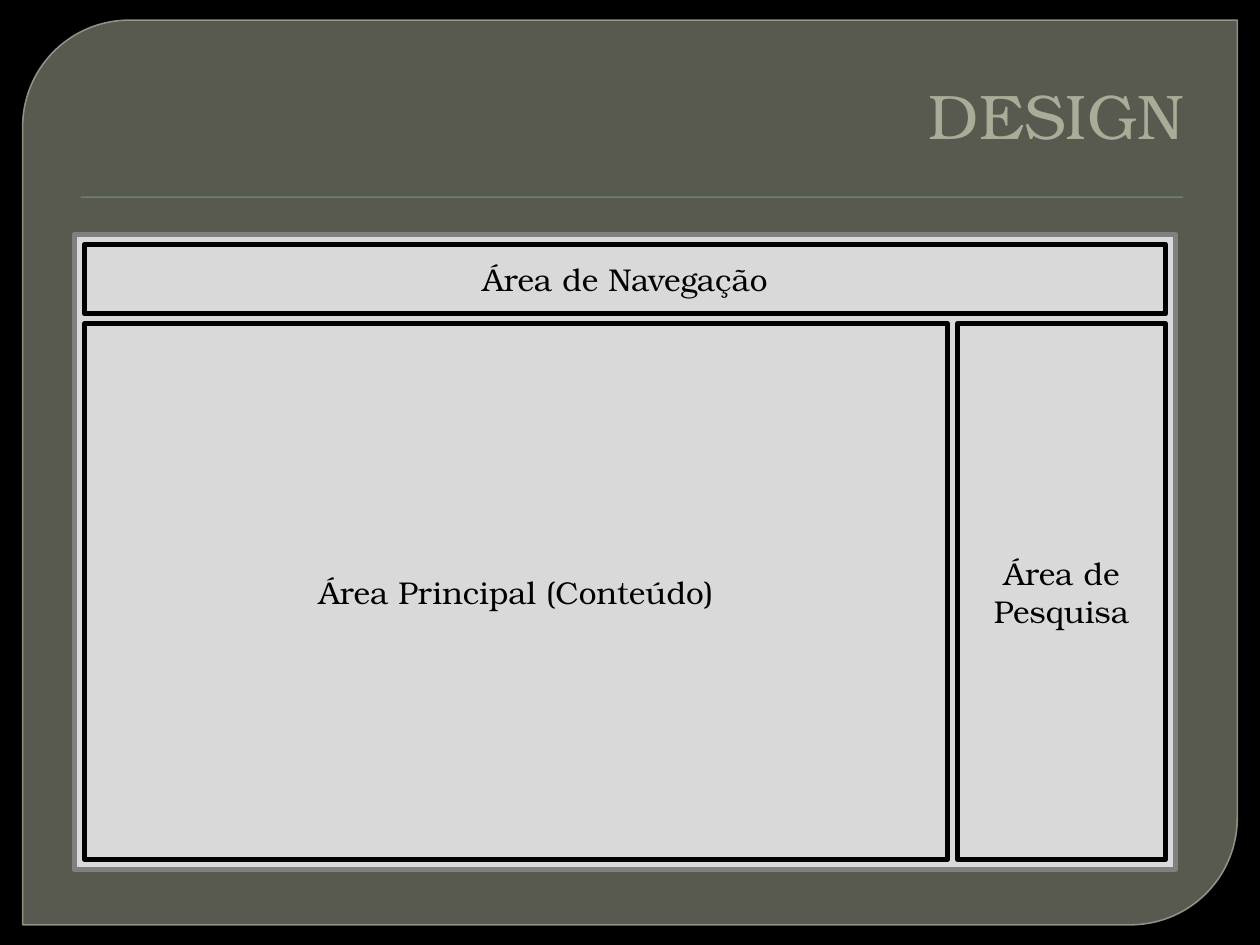
from pptx import Presentation
from pptx import util as u
from pptx.dml.color import RGBColor
from pptx.enum import shapes, text
from pptx.oxml import parse_xml
from pptx.oxml.ns import nsdecls, qn

HUES = {"back": "000000", "card": "888B7B", "edge": "9DA090", "rule": "72A376",
        "title": "E7EACB", "pane": "D9D9D9", "rim": "808080", "ink": "000000"}
FONT = "TeX Gyre Bonum"
COLS, ROWS = 100, 75
KIND = shapes.MSO_SHAPE
SIDE = text.PP_ALIGN
MID = text.MSO_ANCHOR.MIDDLE


class Board:
    def __init__(self, deck):
        self.deck = deck
        self.slide = deck.slides.add_slide(deck.slide_layouts[5])
        fill = self.slide.background.fill
        fill.solid()
        fill.fore_color.rgb = self.hue("back")

    def hue(self, name):
        return RGBColor.from_string(HUES[name])

    def span(self, col, row, wide, high):
        x, y = self.deck.slide_width / COLS, self.deck.slide_height / ROWS
        return [u.Emu(round(n)) for n in (col * x, row * y, wide * x, high * y)]

    def fade(self, solid, share):
        solid[0].append(parse_xml(f'<a:alpha {nsdecls("a")} val="{share * 1000}"/>'))

    def shape(self, area, fill, line=None, width=3, kind=KIND.RECTANGLE):
        item = self.slide.shapes.add_shape(kind, *self.span(*area))
        item.shadow.inherit = False
        item.fill.solid()
        item.fill.fore_color.rgb = self.hue(fill)
        if line:
            item.line.color.rgb = self.hue(line)
            item.line.width = u.Pt(width)
        else:
            item.line.fill.background()
        return item

    def card(self, area):
        item = self.shape(area, "card", "edge", 0.87, KIND.ROUND_2_DIAG_RECTANGLE)
        item.adjustments[0], item.adjustments[1] = 0.118, 0
        props = item.element.spPr
        self.fade(props.find(qn("a:solidFill")), 65)
        self.fade(props.find(qn("a:ln")).find(qn("a:solidFill")), 88)

    def rule(self, area):
        item = self.shape(area, "rule")
        glow = item.element.spPr.find(qn("a:effectLst"))
        glow.append(parse_xml(
            f'<a:outerShdw {nsdecls("a")} blurRad="12700" dist="12700" dir="5400000">'
            '<a:srgbClr val="000000"><a:alpha val="75000"/></a:srgbClr></a:outerShdw>'))

    def style(self, item, words, size, hue, side):
        frame = item.text_frame
        frame.text = words
        for key, val in {"word_wrap": True, "vertical_anchor": MID,
                         "auto_size": text.MSO_AUTO_SIZE.NONE}.items():
            setattr(frame, key, val)
        para = frame.paragraphs[0]
        para.alignment = side
        font = para.runs[0].font
        for key, val in {"name": FONT, "size": u.Pt(size), "bold": False}.items():
            setattr(font, key, val)
        font.color.rgb = self.hue(hue)

    def title(self, area, words):
        item = self.slide.shapes.title
        for key, val in zip(("left", "top", "width", "height"), self.span(*area)):
            setattr(item, key, val)
        self.style(item, words, 36, "title", SIDE.RIGHT)

    def label(self, area, words, lines=1):
        col, row, wide, high = area
        tall = 4 if lines == 1 else 7.1
        place = self.span(col, row + (high - tall) / 2, wide, tall)
        item = self.slide.shapes.add_textbox(*place)
        self.style(item, words, 18, "ink", SIDE.CENTER)


def main():
    deck = Presentation()
    deck.slide_width, deck.slide_height = u.Inches(10), u.Inches(7.5)
    board = Board(deck)
    board.card((1.8, 1.6, 96.4, 71.8))
    board.rule((6.4, 15.6, 87.5, 0.1))
    board.title((5, 2.8, 90, 12.5), "DESIGN")

    left, top, wide, gap = 6.7, 19.4, 85.8, 0.8
    bar, body, side = 5.5, 42.5, 16.5
    inner = wide - side - gap
    low = top + bar + gap
    board.shape((left - gap, top - gap, wide + 2 * gap, bar + body + 3 * gap),
                "pane", "rim")
    panes = [((left, top, wide, bar), "Área de Navegação", 1),
             ((left + inner + gap, low, side, body), "Área de Pesquisa", 2),
             ((left, low, inner, body), "Área Principal (Conteúdo)", 1)]
    for area, _, _ in panes:
        board.shape(area, "pane", "ink")
    for area, words, lines in panes:
        board.label(area, words, lines)
    deck.save("out.pptx")


if __name__ == "__main__":
    main()
